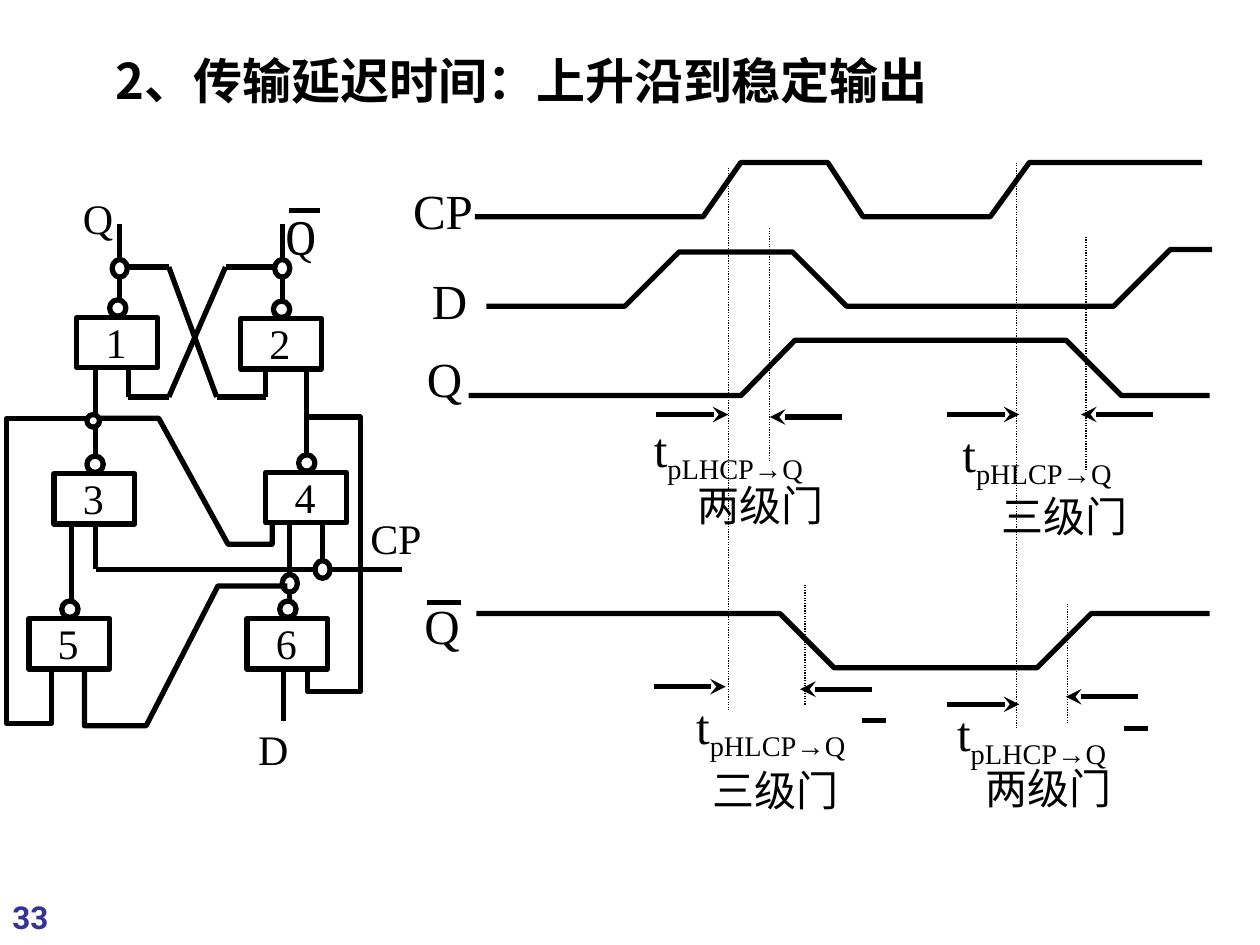
from dataclasses import dataclass

from lxml import etree
from pptx import Presentation
from pptx.dml.color import RGBColor
from pptx.enum.dml import MSO_LINE
from pptx.enum.shapes import MSO_CONNECTOR, MSO_SHAPE
from pptx.enum.text import MSO_ANCHOR, MSO_AUTO_SIZE, PP_ALIGN
from pptx.oxml.ns import qn
from pptx.util import Inches, Pt

STRAIGHT = MSO_CONNECTOR.STRAIGHT
RECT, OVAL = MSO_SHAPE.RECTANGLE, MSO_SHAPE.OVAL
DOTTED = MSO_LINE.ROUND_DOT
FIT, TOP, LEFT = MSO_AUTO_SIZE.SHAPE_TO_FIT_TEXT, MSO_ANCHOR.TOP, PP_ALIGN.LEFT


@dataclass(frozen=True)
class Theme:
    ink: RGBColor = RGBColor(0, 0, 0)
    paper: RGBColor = RGBColor(255, 255, 255)
    number: RGBColor = RGBColor(0x33, 0x33, 0x99)
    serif: str = "Times New Roman"
    math: str = "Cambria"
    sans: str = "Roboto"
    cjk: str = "Noto Sans CJK SC"
    large: int = 28
    medium: int = 24
    small: int = 18
    heavy: float = 3
    thin: float = 0.75


T = Theme()


def box(left, top, width, height):
    return [Inches(v) for v in (left, top, width, height)]


def add_run(p, text, size, font=T.serif, color=T.ink, bold=False, baseline=None):
    r = p.add_run()
    r.text = text
    r.font.size, r.font.name, r.font.bold = Pt(size), font, bold
    r.font.color.rgb = color
    rPr = r.font._element
    etree.SubElement(rPr, qn("a:ea")).set("typeface", T.cjk)
    if baseline:
        rPr.set("baseline", str(baseline))


def add_text(slide, text, at, size=T.large, sub=None, wrap=True, inset=True, **style):
    tf = slide.shapes.add_textbox(*box(*at)).text_frame
    tf.word_wrap, tf.auto_size = wrap, FIT
    if not inset:
        tf.margin_left = tf.margin_right = tf.margin_top = tf.margin_bottom = 0
    p = tf.paragraphs[0]
    add_run(p, text, size, **style)
    if sub:
        add_run(p, sub, size, baseline=-25000, **style)


def add_line(slide, x1, y1, x2, y2, width=T.heavy, dash=None, arrow=False):
    sp = slide.shapes.add_connector(STRAIGHT, *box(x1, y1, x2, y2))
    sp.line.color.rgb, sp.line.width = T.ink, Pt(width)
    if dash:
        sp.line.dash_style = dash
    if arrow:
        etree.SubElement(sp.line._get_or_add_ln(), qn("a:tailEnd")).set("type", "stealth")
    etree.SubElement(sp._element.spPr, qn("a:effectLst"))


def outline(sp, fill=None):
    sp.shadow.inherit = False
    sp.line.color.rgb, sp.line.width = T.ink, Pt(T.heavy)
    if fill is None:
        sp.fill.background()
    else:
        sp.fill.solid()
        sp.fill.fore_color.rgb = fill


def add_path(slide, *points):
    (x, y), *rest = [(Inches(x), Inches(y)) for x, y in points]
    path = slide.shapes.build_freeform(x, y)
    path.add_line_segments(rest, close=False)
    outline(path.convert_to_shape())


def add_node(slide, left, top, width=0.12, height=0.14):
    outline(slide.shapes.add_shape(OVAL, *box(left, top, width, height)), T.paper)


def add_gate(slide, name, left, top):
    outline(slide.shapes.add_shape(RECT, *box(left, top, 0.64, 0.4)))
    outline(slide.shapes.add_shape(OVAL, *box(left + 0.26, top - 0.14, 0.13, 0.13)))
    add_text(slide, name, (left + 0.13, top - 0.06, 0.41, 0.5), T.medium)


def add_title(slide):
    title = slide.shapes.title
    title.left, title.top, title.width, title.height = box(0.82, 0.35, 7.35, 0.57)
    tf = title.text_frame
    tf.word_wrap, tf.auto_size, tf.vertical_anchor = True, MSO_AUTO_SIZE.NONE, TOP
    p = tf.paragraphs[0]
    p.alignment = LEFT
    add_run(p, "2、传输延迟时间：上升沿到稳定输出", T.large, T.cjk, bold=True)


def add_waveforms(slide):
    # Time markers
    for x, top, bottom in ((5.78, 1.33, 5.63), (6.11, 1.81, 3.67), (6.39, 4.64, 5.6),
                           (8.07, 1.29, 5.78), (8.62, 1.88, 3.74), (8.47, 4.79, 5.75)):
        add_line(slide, x, top, x, bottom, T.thin, DOTTED)

    # Signal names and traces
    for name, left, top, width in (("CP", 3.18, 1.38, 1.01), ("D", 3.33, 2.1, 0.65),
                                   ("Q", 3.29, 2.72, 0.71), ("Q", 3.27, 4.68, 0.71)):
        add_text(slide, name, (left, top, width, 0.57))
    add_line(slide, 3.39, 4.78, 3.66, 4.78)
    add_path(slide, (3.77, 1.72), (5.58, 1.72), (5.88, 1.29), (6.57, 1.29),
             (6.85, 1.72), (7.86, 1.72), (8.17, 1.29), (9.54, 1.29))
    add_path(slide, (3.86, 2.43), (4.96, 2.43), (5.39, 2), (6.29, 2),
             (6.72, 2.43), (8.84, 2.43), (9.29, 1.98), (9.62, 1.98))
    add_path(slide, (3.72, 3.14), (5.88, 3.14), (6.31, 2.7), (8.46, 2.7),
             (8.9, 3.14), (9.6, 3.14))
    add_path(slide, (3.78, 4.87), (6.19, 4.87), (6.62, 5.3), (8.23, 5.3),
             (8.66, 4.87), (9.6, 4.87))


def add_delays(slide):
    # Arrows closing in on each delay from both sides
    for x, y, step in ((5.21, 3.29, 0.57), (6.68, 3.31, -0.57),
                       (7.52, 3.29, 0.57), (9.15, 3.29, -0.57),
                       (5.19, 5.45, 0.57), (6.92, 5.47, -0.57),
                       (7.52, 5.59, 0.57), (9.03, 5.53, -0.57)):
        add_line(slide, x, y, x + step, y, arrow=True)

    # Delay symbols
    for t, sub, left, top, width in (("t", "pLHCP→Q", 5.09, 3.27, 2.22),
                                     ("t", "pHLCP→Q", 7.54, 3.31, 1.92),
                                     (" t", "pHLCP→Q", 5.33, 5.47, 1.92),
                                     (" t", "pLHCP→Q", 7.4, 5.53, 2.22)):
        add_text(slide, t, (left, top, width, 0.57), sub=sub)
    for x, y in ((6.84, 5.72), (8.92, 5.78)):
        add_line(slide, x, y, x + 0.19, y)

    # Gate counts
    for text, left, top in (("两级门", 5.44, 3.76), ("三级门", 7.85, 3.84),
                            ("三级门", 5.56, 6.02), ("两级门", 7.72, 6)):
        add_text(slide, text, (left, top, 1.35, 0.5), T.medium)


def add_circuit(slide):
    # Terminals
    for name, left, top, width in (("CP", 2.84, 4.02, 0.61), ("D", 1.95, 5.69, 0.44),
                                   ("Q", 0.56, 1.48, 0.46)):
        add_text(slide, name, (left, top, width, 0.5), T.medium, wrap=False)
    add_line(slide, 2.29, 1.67, 2.54, 1.67)
    add_text(slide, "Q", (2.27, 1.64, 0.32, 0.47), inset=False, font=T.math)

    # Vertical wires
    for x, top, bottom in ((0.95, 1.78, 2.4), (2.24, 1.78, 2.4), (0.76, 2.94, 3.63),
                           (2.43, 2.94, 3.63), (2.3, 4.17, 4.79), (0.57, 4.17, 4.79),
                           (2.25, 5.32, 5.72), (0.76, 4.17, 4.52), (2.56, 4.17, 4.52),
                           (1.02, 2.94, 3.15), (2.11, 2.94, 3.15)):
        add_line(slide, x, top, x, bottom)

    # Clock line and cross-coupling
    for ends in ((0.76, 4.52, 3.19, 4.52), (0.95, 2.12, 1.34, 2.12),
                 (2.24, 2.12, 1.79, 2.12), (1.02, 3.15, 1.34, 3.15),
                 (1.79, 2.12, 1.34, 3.15), (2.11, 3.15, 1.72, 3.15),
                 (1.34, 2.12, 1.72, 3.15)):
        add_line(slide, *ends)
    for left, top in ((2.24, 4.56), (2.5, 4.45), (2.18, 2.06), (0.89, 2.06)):
        add_node(slide, left, top)

    # Gates
    for name, left, top in (("1", 0.61, 2.52), ("2", 1.91, 2.53), ("3", 0.43, 3.76),
                            ("4", 2.11, 3.75), ("5", 0.23, 4.91), ("6", 1.96, 4.91)):
        add_gate(slide, name, left, top)

    # Feedback loops
    add_path(slide, (2.28, 4.65), (1.73, 4.65), (1.16, 5.76), (0.67, 5.76), (0.67, 5.31))
    add_path(slide, (0.77, 3.32), (0.05, 3.32), (0.05, 5.74), (0.41, 5.74), (0.41, 5.31))
    add_path(slide, (0.75, 3.32), (1.26, 3.32), (1.81, 4.32), (2.16, 4.32), (2.16, 4.15))
    add_node(slide, 0.69, 3.29, 0.1, 0.1)
    add_path(slide, (2.41, 3.31), (2.86, 3.31), (2.86, 5.49), (2.44, 5.49), (2.44, 5.29))


def main():
    prs = Presentation()
    prs.slide_width, prs.slide_height = Inches(10), Inches(7.5)
    slide = prs.slides.add_slide(prs.slide_layouts[5])
    add_title(slide)
    add_text(slide, "33", (0, 7.08, 0.99, 0.37), T.small, font=T.sans,
             color=T.number, bold=True)
    add_waveforms(slide)
    add_delays(slide)
    add_circuit(slide)
    prs.save("out.pptx")


if __name__ == "__main__":
    main()
